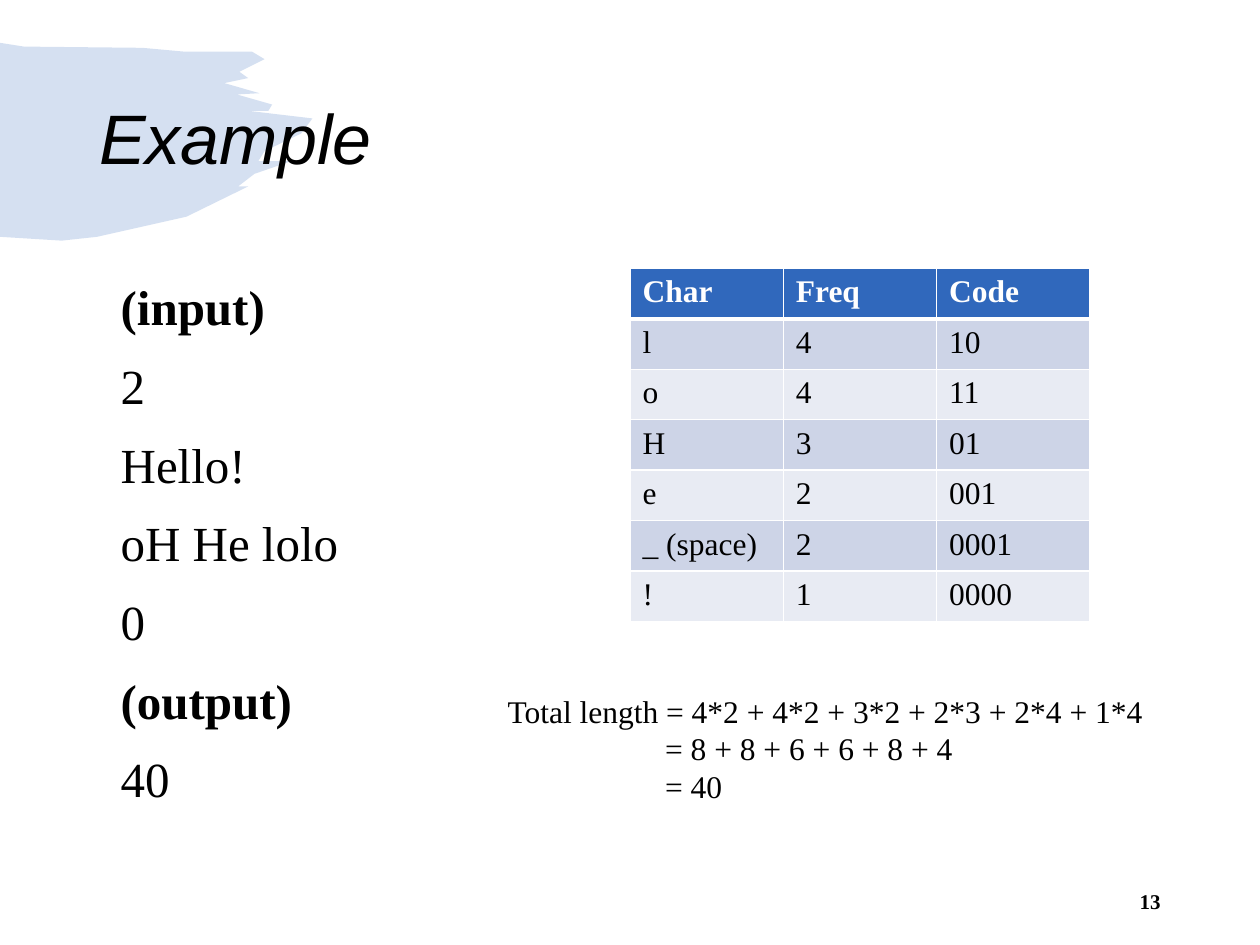
from lxml import etree
from pptx import Presentation
from pptx import util as u
from pptx.dml.color import RGBColor
from pptx.enum import text
from pptx.oxml.ns import qn

THEME = {
    "heading_font": "Arial", "body_font": "Times New Roman",
    "title": 40, "body": 28, "small": 18, "number": 12,
    "ink": "000000", "paper": "FFFFFF", "accent": "3068BC",
    "bands": ("CDD4E7", "E8EBF3"),
}

TITLE = "Example"
SAMPLE = ["(input)", "2", "Hello!", "oH He lolo", "0", "(output)", "40"]
CODES = [
    ("Char", "Freq", "Code"),
    ("l", "4", "10"),
    ("o", "4", "11"),
    ("H", "3", "01"),
    ("e", "2", "001"),
    ("_ (space)", "2", "0001"),
    ("!", "1", "0000"),
]
TOTAL = ["Total length = 4*2 + 4*2 + 3*2 + 2*3 + 2*4 + 1*4",
         "= 8 + 8 + 6 + 6 + 8 + 4",
         "= 40"]
PAGE_NUMBER = "13"

# Corners of the brush stroke, in inches.
BRUSH = [
    (0, 0.34), (0.19, 0.37), (1.13, 0.38), (1.46, 0.41), (2, 0.41), (2.1, 0.47),
    (1.9, 0.57), (1.97, 0.62), (1.78, 0.66), (2.06, 0.74), (1.88, 0.75),
    (2.16, 0.83), (2.13, 0.88), (1.97, 0.88), (2.48, 0.94), (2.39, 1.06),
    (2.1, 1.2), (2.05, 1.28), (2.31, 1.28), (2.02, 1.38), (1.89, 1.48),
    (1.97, 1.48), (1.48, 1.72), (0.77, 1.88), (0.49, 1.91), (0, 1.88),
]


def paint(fill, color):
    fill.solid()
    fill.fore_color.rgb = RGBColor.from_string(color)


def write(para, words, size, font=THEME["body_font"], color=THEME["ink"],
          bold=False, italic=False):
    span = para.add_run()
    span.text = words
    span.font.name, span.font.size = font, u.Pt(size)
    span.font.bold, span.font.italic = bold, italic
    span.font.color.rgb = RGBColor.from_string(color)


def add_text(page, lines, place, anchor=text.MSO_ANCHOR.TOP, align=None,
             spacing=None, before=0, bold_lines=(), hanging=0, **style):
    """Add one paragraph per line; hanging indents every line but the first."""
    frame = page.shapes.add_textbox(*map(u.Inches, place)).text_frame
    frame.word_wrap = True
    frame.vertical_anchor = anchor
    for index, line in enumerate(lines):
        para = frame.add_paragraph() if index else frame.paragraphs[0]
        para.alignment, para.line_spacing = align, spacing
        para.space_before = u.Pt(before)
        if hanging and index:
            para._p.get_or_add_pPr().set("marL", str(u.Inches(hanging)))
        write(para, line, **{"bold": line in bold_lines, **style})


def add_brush(page):
    start, *corners = [(u.Inches(x), u.Inches(y)) for x, y in BRUSH]
    outline = page.shapes.build_freeform(*start)
    outline.add_line_segments(corners)
    brush = outline.convert_to_shape()
    brush.shadow.inherit = False
    brush.line.fill.background()
    paint(brush.fill, THEME["accent"])
    color = brush._element.spPr.find(qn("a:solidFill"))[0]
    etree.SubElement(color, qn("a:alpha"), val="20000")


def add_borders(cell, **widths):
    for side, width in widths.items():
        line = etree.SubElement(cell._tc.get_or_add_tcPr(), qn(f"a:ln{side}"),
                                w=str(u.Pt(width)))
        solid = etree.SubElement(line, qn("a:solidFill"))
        etree.SubElement(solid, qn("a:srgbClr"), val=THEME["paper"])


def add_codes(page):
    rows, columns = len(CODES), len(CODES[0])
    place = (5, 2.13, 3.65, 0.4 * rows)
    table = page.shapes.add_table(rows, columns, *map(u.Inches, place)).table
    for r, row in enumerate(CODES):
        header = r == 0
        for c, words in enumerate(row):
            cell = table.cell(r, c)
            add_borders(cell, L=1, R=1, T=3 if r == 1 else 1, B=3 if header else 1)
            paint(cell.fill, THEME["accent"] if header else THEME["bands"][(r - 1) % 2])
            write(cell.text_frame.paragraphs[0], words, THEME["small"], bold=header,
                  color=THEME["paper"] if header else THEME["ink"])


def main():
    deck = Presentation()
    deck.slide_width, deck.slide_height = u.Inches(10), u.Inches(7.5)
    page = deck.slides.add_slide(deck.slide_layouts[6])
    paint(page.background.fill, THEME["paper"])
    middle = text.MSO_ANCHOR.MIDDLE
    add_brush(page)
    add_text(page, [TITLE], (0.69, 0.4, 8.62, 1.45), anchor=middle, spacing=0.9,
             size=THEME["title"], font=THEME["heading_font"], italic=True)
    add_text(page, SAMPLE, (0.86, 2.13, 5.33, 5.02), spacing=1.04, before=10,
             size=THEME["body"], bold_lines=("(input)", "(output)"))
    add_codes(page)
    add_text(page, [PAGE_NUMBER], (7.06, 6.95, 2.25, 0.4), anchor=middle,
             align=text.PP_ALIGN.RIGHT, size=THEME["number"], bold=True)
    add_text(page, TOTAL, (3.93, 5.44, 5.62, 1.01), hanging=1.25, size=THEME["small"])
    deck.save("out.pptx")


if __name__ == "__main__":
    main()
